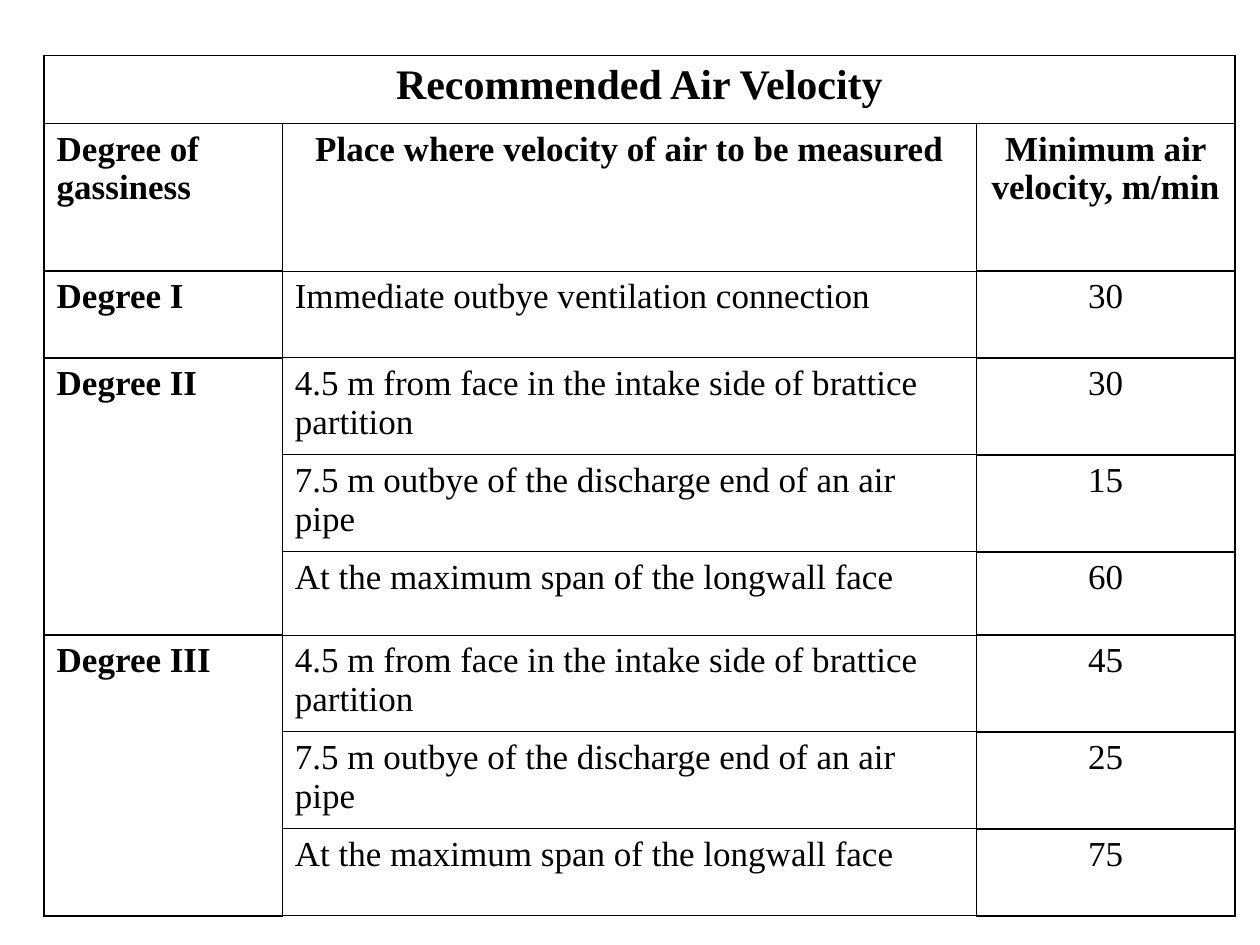
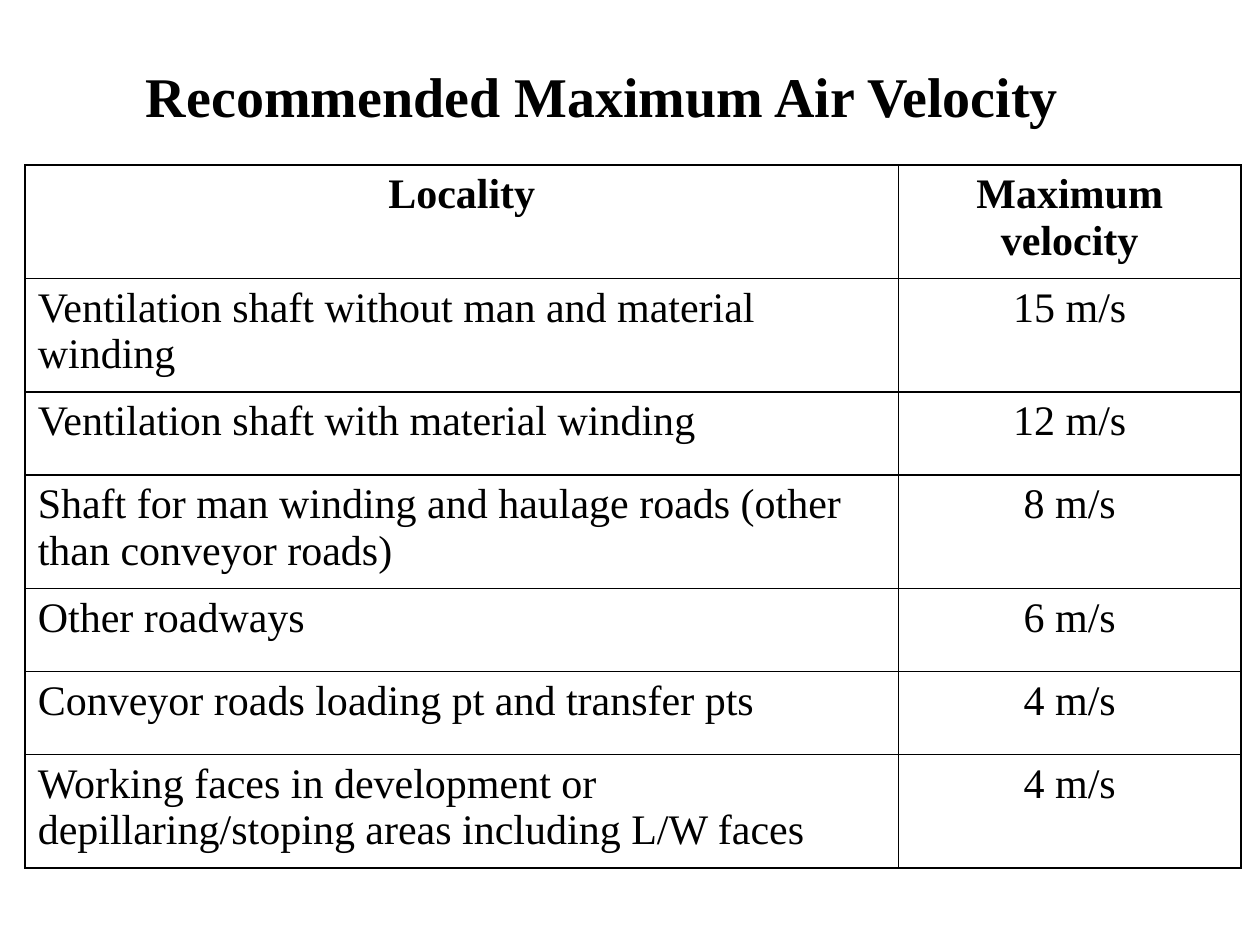
from lxml.etree import SubElement
from pptx import Presentation
from pptx.dml.color import RGBColor
from pptx.enum.text import MSO_AUTO_SIZE, PP_ALIGN
from pptx.oxml.ns import qn
from pptx.util import Inches, Pt

COLORS = {"text": "000000", "border": "000000", "background": "FFFFFF"}
FONT = "Times New Roman"
THICK, THIN = 1.08, 0.45
NO_TABLE_STYLE = "{2D5ABB26-0587-4C30-8999-92F81FD0307C}"

TITLE = {"size": 32, "bold": True, "space_before": 20}
BANNER = {"size": 24, "bold": True, "space_before": 6, "align": PP_ALIGN.CENTER}

FACE_PLACES = [
    "4.5 m from face in the intake side of brattice partition",
    "7.5 m outbye of the discharge end of an air pipe",
    "At the maximum span of the longwall face",
]
MINIMUM_VELOCITIES = [
    ("Degree I", ["Immediate outbye ventilation connection"], [30]),
    ("Degree II", FACE_PLACES, [30, 15, 60]),
    ("Degree III", FACE_PLACES, [45, 25, 75]),
]
MAXIMUM_VELOCITIES = [
    ("Ventilation shaft without man and material winding", 15),
    ("Ventilation shaft with material winding", 12),
    ("Shaft for man winding and haulage roads (other than conveyor roads)", 8),
    ("Other roadways", 6),
    ("Conveyor roads loading pt and transfer pts", 4),
    ("Working faces in development or depillaring/stoping areas including L/W faces", 4),
]


def write(tf, text, size, bold=False, space_before=0, align=PP_ALIGN.LEFT):
    p = tf.paragraphs[0]
    p.alignment = align
    p.space_before = Pt(space_before)
    r = p.add_run()
    r.text = text
    for name, value in {"name": FONT, "size": Pt(size), "bold": bold}.items():
        setattr(r.font, name, value)
    r.font.color.rgb = RGBColor.from_string(COLORS["text"])


def set_borders(cell, widths):
    """Draw the cell's sides; widths maps L, R, T and B to points."""
    tcPr = cell._tc.get_or_add_tcPr()
    for side, width in widths.items():
        ln = SubElement(tcPr, qn(f"a:ln{side}"), w=str(Pt(width)))
        fill = SubElement(ln, qn("a:solidFill"))
        SubElement(fill, qn("a:srgbClr"), val=COLORS["border"])


def add_grid(s, box, col_widths, row_heights):
    left, top, width, height = map(Inches, box)
    table = s.shapes.add_table(
        len(row_heights), len(col_widths), left, top, width, height).table
    table.first_row = table.horz_banding = False
    table._tbl.tblPr.find(qn("a:tableStyleId")).text = NO_TABLE_STYLE
    for col, w in zip(table.columns, col_widths):
        col.width = Inches(w)
    for row, h in zip(table.rows, row_heights):
        row.height = Inches(h)
    return table


def rule_grid(table):
    """Thick lines round the outer columns, thin ones between and inside."""
    last = len(table.columns) - 1
    for row in table.rows:
        for c, cell in enumerate(row.cells):
            if cell.is_spanned:
                continue
            end = c + (cell.span_width if cell.is_merge_origin else 1) - 1
            left = THICK if c == 0 else THIN
            right = THICK if end == last else THIN
            level = max(left, right)
            set_borders(cell, {"L": left, "R": right, "T": level, "B": level})
            cell.fill.background()


def add_title(s, box, text):
    tf = s.shapes.add_textbox(*map(Inches, box)).text_frame
    tf.word_wrap = True
    tf.auto_size = MSO_AUTO_SIZE.SHAPE_TO_FIT_TEXT
    write(tf, text, **TITLE)


def add_minimum_table(s, box):
    table = add_grid(s, box, [1.89, 5.51, 2.05],
                     [0.54, 1.17, 0.69, 0.77, 0.77, 0.66, 0.77, 0.77, 0.69])
    body = {"size": 20, "space_before": 5}
    centred = {**body, "align": PP_ALIGN.CENTER}

    table.cell(0, 0).merge(table.cell(0, 2))
    write(table.cell(0, 0).text_frame, "Recommended Air Velocity", **BANNER)
    headings = [("Degree of gassiness", body),
                ("Place where velocity of air to be measured", centred),
                ("Minimum air velocity, m/min", centred)]
    for c, (text, style) in enumerate(headings):
        write(table.cell(1, c).text_frame, text, bold=True, **style)

    row = 2
    for degree, places, velocities in MINIMUM_VELOCITIES:
        first = table.cell(row, 0)
        if len(places) > 1:
            first.merge(table.cell(row + len(places) - 1, 0))
        write(first.text_frame, degree, bold=True, **body)
        for place, velocity in zip(places, velocities):
            write(table.cell(row, 1).text_frame, place, **body)
            write(table.cell(row, 2).text_frame, str(velocity), **centred)
            row += 1
    rule_grid(table)


def add_maximum_table(s, box):
    table = add_grid(s, box, [6.93, 2.72], [0.9, 0.9, 0.66, 0.9, 0.66, 0.66, 0.9])
    body = {"size": 24, "space_before": 6}
    for c, text in enumerate(["Locality", "Maximum velocity"]):
        write(table.cell(0, c).text_frame, text, **BANNER)
    for row, (locality, velocity) in enumerate(MAXIMUM_VELOCITIES, 1):
        write(table.cell(row, 0).text_frame, locality, **body)
        write(table.cell(row, 1).text_frame, f"{velocity} m/s",
              align=PP_ALIGN.CENTER, **body)
    rule_grid(table)


def add_slide(prs):
    s = prs.slides.add_slide(prs.slide_layouts[6])
    s.background.fill.solid()
    s.background.fill.fore_color.rgb = RGBColor.from_string(COLORS["background"])
    return s


def main():
    prs = Presentation()
    prs.slide_width, prs.slide_height = Inches(10), Inches(7.5)

    add_minimum_table(add_slide(prs), (0.35, 0.44, 9.45, 6.83))

    s = add_slide(prs)
    add_maximum_table(s, (0.2, 1.31, 9.65, 5.6))
    add_title(s, (1.06, 0.44, 8.03, 0.64), "Recommended Maximum Air Velocity")

    prs.save("out.pptx")


if __name__ == "__main__":
    main()
